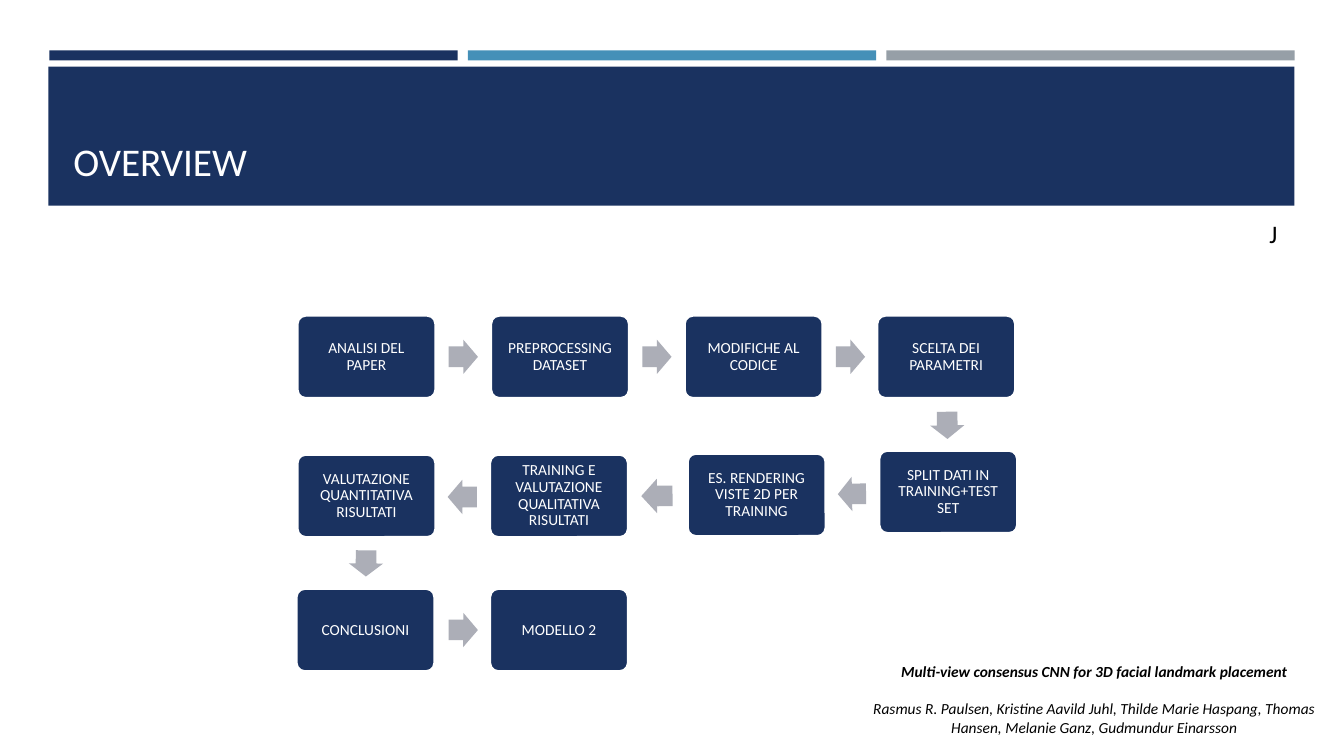
from pptx import Presentation
from pptx.dml.color import RGBColor
from pptx.enum.shapes import MSO_SHAPE
from pptx.enum.text import MSO_ANCHOR, PP_ALIGN
from pptx.util import Inches, Pt

NAVY, BLUE, GREY, ARROW_GREY = "1A3260", "4590B8", "969FA7", "ACAEB7"
WHITE, BLACK = "FFFFFF", "000000"

prs = Presentation()
prs.slide_width, prs.slide_height = Inches(13.33), Inches(7.5)
slide = prs.slides.add_slide(prs.slide_layouts[6])


def add_filled(preset, left, top, width, height, color):
    shape = slide.shapes.add_shape(
        preset, Inches(left), Inches(top), Inches(width), Inches(height))
    shape.shadow.inherit = False
    shape.fill.solid()
    shape.fill.fore_color.rgb = RGBColor.from_string(color)
    shape.line.fill.background()
    return shape


def write(shape, text, size, color, align=PP_ALIGN.LEFT, anchor=MSO_ANCHOR.TOP):
    """Put text in a shape, one paragraph per line, and return its frame."""
    frame = shape.text_frame
    frame.text = text
    frame.word_wrap = True
    frame.vertical_anchor = anchor
    for paragraph in frame.paragraphs:
        paragraph.alignment = align
        font = paragraph.runs[0].font
        font.name, font.size = "Calibri", Pt(size)
        font.color.rgb = RGBColor.from_string(color)
    return frame


# Header: three stripes above the title band
for column, color in enumerate([NAVY, BLUE, GREY]):
    add_filled(MSO_SHAPE.RECTANGLE, 0.49 + 4.15 * column, 0.5, 4.05, 0.1, color)
add_filled(MSO_SHAPE.RECTANGLE, 0.48, 0.66, 12.36, 1.38, NAVY)
title = slide.shapes.add_textbox(Inches(0.63), Inches(0.8), Inches(12.06), Inches(1.08))
write(title, "OVERVIEW", 28, WHITE, anchor=MSO_ANCHOR.BOTTOM)

# Workflow: label, left, top of each step
steps = [
    ("ANALISI DEL PAPER", 2.95, 3.13),
    ("PREPROCESSING DATASET", 4.87, 3.13),
    ("MODIFICHE AL CODICE", 6.79, 3.13),
    ("SCELTA DEI PARAMETRI", 8.7, 3.13),
    ("SPLIT DATI IN TRAINING+TEST SET", 8.72, 4.47),
    ("ES. RENDERING VISTE 2D PER TRAINING", 6.82, 4.5),
    ("TRAINING E VALUTAZIONE QUALITATIVA RISULTATI", 4.86, 4.51),
    ("VALUTAZIONE QUANTITATIVA RISULTATI", 2.95, 4.51),
    ("CONCLUSIONI", 2.94, 5.84),
    ("MODELLO 2", 4.86, 5.84),
]
for label, left, top in steps:
    step = add_filled(MSO_SHAPE.ROUNDED_RECTANGLE, left, top, 1.37, 0.82, NAVY)
    step.adjustments[0] = 0.1
    step.line.color.rgb = RGBColor.from_string(WHITE)
    step.line.width = Pt(1.75)
    frame = write(step, label, 11, WHITE, PP_ALIGN.CENTER, MSO_ANCHOR.MIDDLE)
    frame.margin_left = frame.margin_right = Inches(0.07)
    frame.margin_top = frame.margin_bottom = Inches(0.07)
    frame.paragraphs[0].line_spacing = 0.9

# Arrows between consecutive steps: left, top, length, rotation
arrows = [
    (4.45, 3.37, 0.29, 0),
    (6.37, 3.37, 0.29, 0),
    (8.29, 3.37, 0.29, 0),
    (9.26, 4.05, 0.27, 89.2),
    (8.31, 4.73, 0.28, 179),
    (6.36, 4.75, 0.31, 179.6),
    (4.44, 4.76, 0.29, 180),
    (3.5, 5.42, 0.26, 90.5),
    (4.45, 6.08, 0.29, 0.3),
]
for left, top, length, rotation in arrows:
    arrow = add_filled(MSO_SHAPE.RIGHT_ARROW, left, top, length, 0.34, ARROW_GREY)
    arrow.adjustments[0], arrow.adjustments[1] = 0.6, 0.5
    arrow.rotation = rotation

# Cited paper and presenter's initial
citation = slide.shapes.add_textbox(Inches(8.51), Inches(6.52), Inches(4.69), Inches(0.84))
citation_frame = write(
    citation,
    "Multi-view consensus CNN for 3D facial landmark placement\n"
    "Rasmus R. Paulsen, Kristine Aavild Juhl, Thilde Marie Haspang, "
    "Thomas Hansen, Melanie Ganz, Gudmundur Einarsson",
    11, BLACK, PP_ALIGN.CENTER)
for paragraph in citation_frame.paragraphs:
    paragraph.runs[0].font.italic = True
paper_title = citation_frame.paragraphs[0]
paper_title.runs[0].font.bold = True
paper_title.space_after = Pt(13.4)

initial = slide.shapes.add_textbox(Inches(12.49), Inches(2.12), Inches(0.41), Inches(0.4))
write(initial, "J", 18, BLACK)

prs.save("out.pptx")
